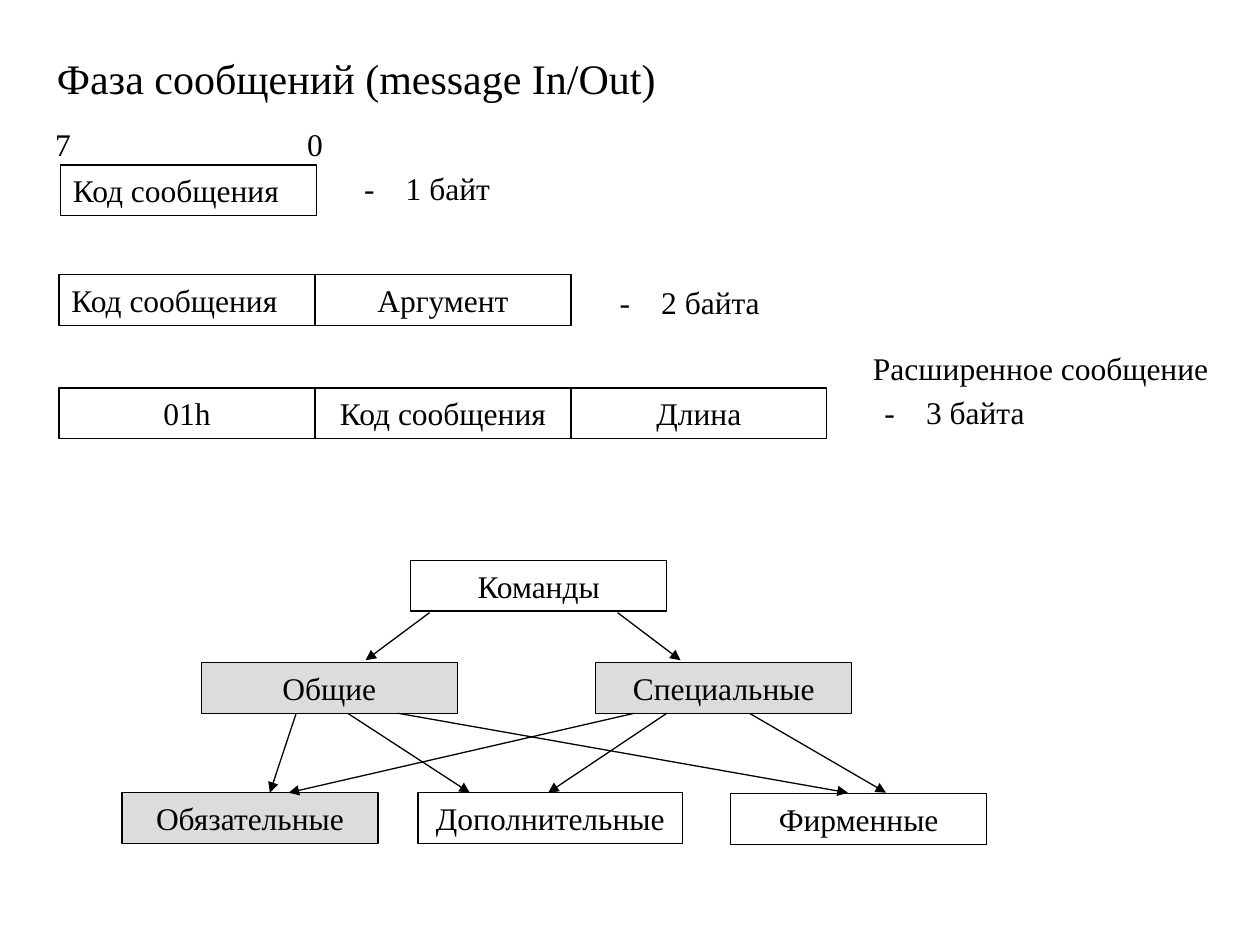
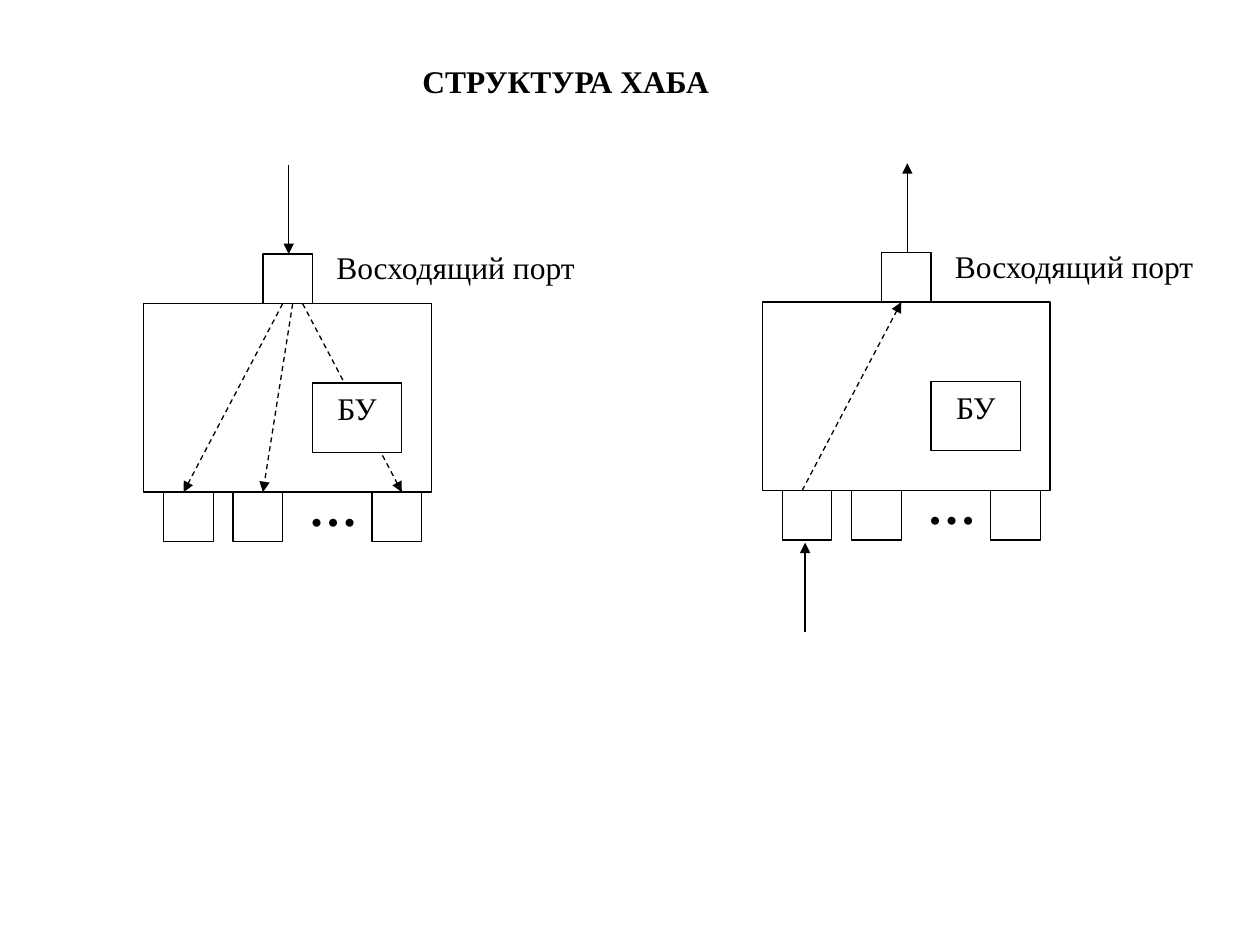
from lxml import etree
from pptx import Presentation
from pptx.dml.color import RGBColor
from pptx.enum import dml, shapes, text
from pptx.oxml import ns
from pptx.util import Cm, Pt

LEFT, CENTER = text.PP_ALIGN.LEFT, text.PP_ALIGN.CENTER
TOP, MIDDLE = text.MSO_ANCHOR.TOP, text.MSO_ANCHOR.MIDDLE


def color(value):
    return RGBColor.from_string(value)


class Deck:
    font, size = "Times New Roman", 18
    ink, white, gray = "000000", "FFFFFF", "DCDCDC"
    line_width = 0.75
    cell_w, row_h = 5.16, 1.02
    tab = 0.84

    def __init__(self):
        self.prs = Presentation()
        self.prs.slide_width, self.prs.slide_height = Cm(25.4), Cm(19.05)
        self.s = None

    def add_slide(self):
        self.s = self.prs.slides.add_slide(self.prs.slide_layouts[6])

    def put_text(self, sp, words, size=None, bold=False, align=LEFT, anchor=TOP):
        tf = sp.text_frame
        tf.word_wrap = True
        tf.vertical_anchor = anchor
        p = tf.paragraphs[0]
        p.alignment = align
        if "\t" in words:
            tabs = etree.SubElement(p._p.get_or_add_pPr(), ns.qn("a:tabLst"))
            etree.SubElement(tabs, ns.qn("a:tab"), pos=str(Cm(self.tab)), algn="l")
        r = p.add_run()
        r.text = words
        r.font.name, r.font.size, r.font.bold = self.font, Pt(size or self.size), bold
        r.font.color.rgb = color(self.ink)

    def label(self, words, x, y, w, h=row_h, inset=True, **style):
        sp = self.s.shapes.add_textbox(Cm(x), Cm(y), Cm(w), Cm(h))
        self.put_text(sp, words, **style)
        if not inset:
            tf = sp.text_frame
            tf.margin_left = tf.margin_right = tf.margin_top = tf.margin_bottom = 0

    def box(self, x, y, w=cell_w, h=row_h, words="", fill=None, **style):
        sp = self.s.shapes.add_shape(shapes.MSO_SHAPE.RECTANGLE, Cm(x), Cm(y), Cm(w), Cm(h))
        sp.shadow.inherit = False
        if fill:
            sp.fill.solid()
            sp.fill.fore_color.rgb = color(fill)
        else:
            sp.fill.background()
        sp.line.color.rgb = color(self.ink)
        sp.line.width = Pt(self.line_width)
        if words:
            self.put_text(sp, words, **style)

    def arrow(self, x1, y1, x2, y2, dashed=False):
        c = self.s.shapes.add_connector(
            shapes.MSO_CONNECTOR.STRAIGHT, Cm(x1), Cm(y1), Cm(x2), Cm(y2))
        c.line.color.rgb = color(self.ink)
        c.line.width = Pt(self.line_width)
        if dashed:
            c.line.dash_style = dml.MSO_LINE.DASH
        etree.SubElement(c.line._get_or_add_ln(), ns.qn("a:tailEnd"), type="triangle")
        etree.SubElement(c._element.spPr, ns.qn("a:effectLst"))

    def hub(self, x, y, links, outer):
        port, body_w, body_h = 1.0, 5.8, 3.8
        self.box(x + 2.4, y - port, port, port)
        self.box(x, y, body_w, body_h)
        for dx in (0.4, 1.8, 4.6):
            self.box(x + dx, y + body_h, port, port)
        for x1, y1, x2, y2 in links:
            self.arrow(x + x1, y + y1, x + x2, y + y2, dashed=True)
        self.box(x + 3.4, y + 1.6, 1.8, 1.4, "БУ", self.white, align=CENTER)
        for x1, y1, x2, y2 in outer:
            self.arrow(x + x1, y + y1, x + x2, y + y2)
        self.label("Восходящий порт", x + 3.63, y - 1.24, 5.77)
        self.label("…", x + 3.07, y + 3.38, 1.37, 1.45, size=28, bold=True, align=CENTER)


def messages_slide(d):
    d.add_slide()
    d.label("Фаза сообщений (message In/Out)", 0.53, 0.94, 13.31, 1.27, size=24, align=CENTER)
    for bit, x in (("7", 0.86), ("0", 5.94)):
        d.label(bit, x, 2.39, 0.89)

    formats = [
        (1.22, 3.33, [("Код сообщения", LEFT)], "-\t1 байт", 7.09, 3.28),
        (1.19, 5.54, [("Код сообщения", LEFT), ("Аргумент", CENTER)], "-\t2 байта", 12.24, 5.59),
        (1.19, 7.82, [("01h", CENTER), ("Код сообщения", CENTER), ("Длина", CENTER)],
         "-\t3 байта", 17.58, 7.8),
    ]
    for x, y, fields, length, length_x, length_y in formats:
        for i, (words, align) in enumerate(fields):
            d.box(x + i * d.cell_w, y, words=words, align=align)
        d.label(length, length_x, length_y, 4.32)
    d.label("Расширенное сообщение", 17.35, 7.04, 7.26, 0.76, inset=False, align=CENTER)

    commands = [
        ("Команды", 8.28, 11.3, d.cell_w, None),
        ("Общие", 4.06, 13.36, d.cell_w, d.gray),
        ("Специальные", 12.01, 13.36, d.cell_w, d.gray),
        ("Обязательные", 2.46, 15.98, d.cell_w, d.gray),
        ("Дополнительные", 8.43, 15.98, 5.33, None),
        ("Фирменные", 14.73, 16, d.cell_w, None),
    ]
    for words, x, y, w, fill in commands:
        d.box(x, y, w, words=words, fill=fill, align=CENTER, anchor=MIDDLE)

    for x1, x2 in ((8.66, 7.37), (12.45, 13.72)):
        d.arrow(x1, 12.35, x2, 13.31)
    for x1, x2 in ((5.97, 5.44), (7.01, 9.47), (8.03, 17.09),
                   (12.78, 5.82), (13.44, 11.05), (15.11, 17.86)):
        d.arrow(x1, 14.38, x2, 15.98)


def hub_slide(d):
    d.add_slide()
    d.label("СТРУКТУРА ХАБА", 3.1, 1.12, 16.61, bold=True, align=CENTER)
    d.hub(2.9, 6.12,
          links=[(2.8, 0, 0.8, 3.8), (3.2, 0, 5.2, 3.8), (3, 0, 2.4, 3.8)],
          outer=[(2.92, -2.8, 2.92, -1)])
    d.hub(15.37, 6.09,
          links=[(0.8, 3.8, 2.8, 0)],
          outer=[(2.92, -1, 2.92, -2.8), (0.86, 6.65, 0.86, 4.85)])


def main():
    d = Deck()
    messages_slide(d)
    hub_slide(d)
    d.prs.save("out.pptx")


if __name__ == "__main__":
    main()
